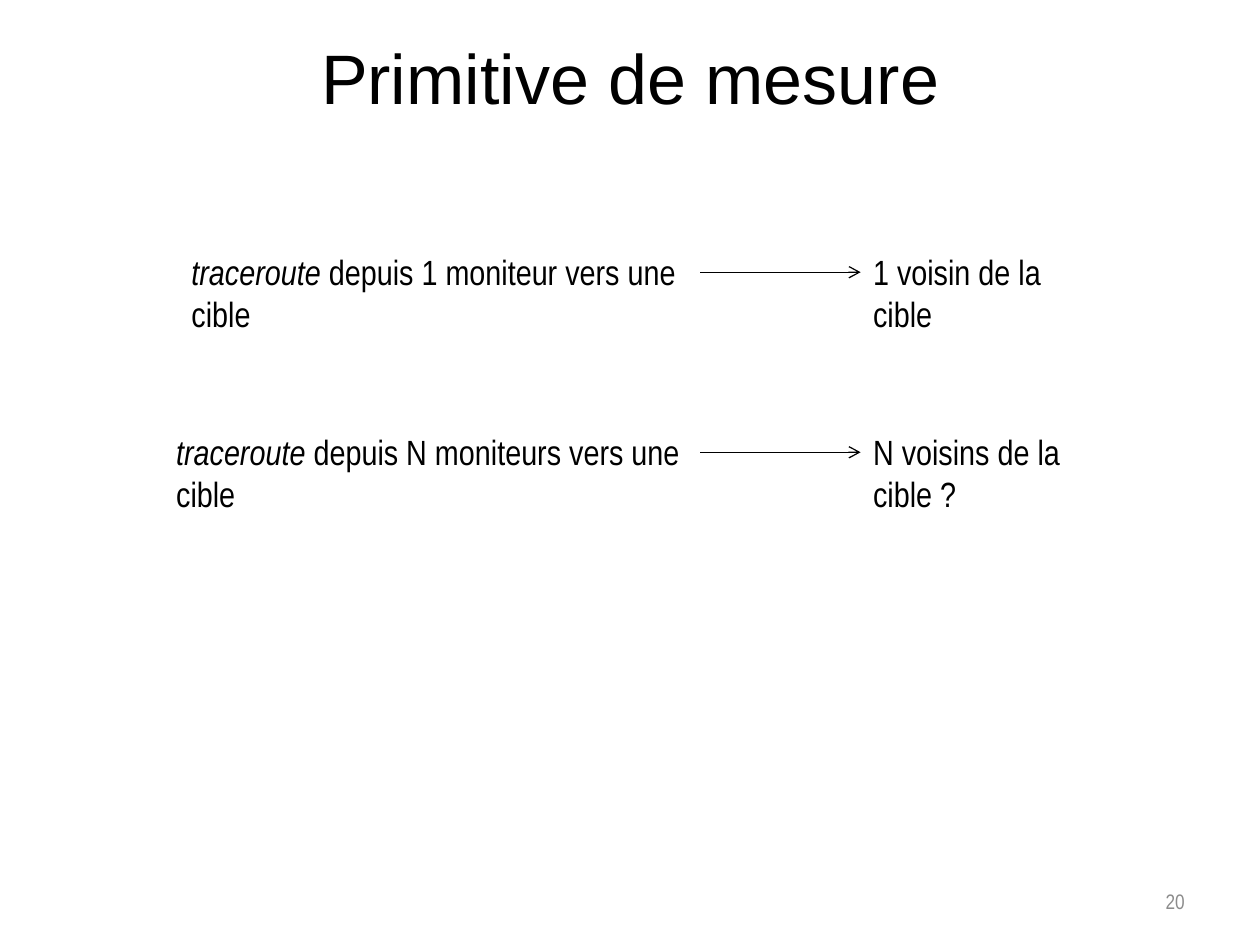
from lxml import etree
from pptx import Presentation
from pptx.dml.color import RGBColor
from pptx.enum.shapes import MSO_CONNECTOR
from pptx.enum.text import MSO_ANCHOR, PP_ALIGN
from pptx.oxml.ns import qn
from pptx.util import Pt

STRAIGHT = MSO_CONNECTOR.STRAIGHT
TOP, MIDDLE = MSO_ANCHOR.TOP, MSO_ANCHOR.MIDDLE
LEFT, CENTER, RIGHT = PP_ALIGN.LEFT, PP_ALIGN.CENTER, PP_ALIGN.RIGHT
LEFT_SIDE, RIGHT_SIDE = 1, 3


def rgb(value):
    return RGBColor.from_string(value)


class Deck:
    """Style of the deck and the slide being filled."""

    black, grey = "000000", "8C8C8C"
    body = {"name": "Arial Narrow", "size": Pt(20)}
    heading = {"name": "Arial", "size": Pt(40)}
    footer = {"name": "Arial Narrow", "size": Pt(12)}

    def __init__(self, width, height):
        self.prs = Presentation()
        self.prs.slide_width, self.prs.slide_height = Pt(width), Pt(height)

    def add_slide(self):
        self.s = self.prs.slides.add_slide(self.prs.slide_layouts[5])

    def fill_text(self, sp, runs, style, color, align, anchor):
        tf = sp.text_frame
        tf.word_wrap = True
        tf.vertical_anchor = anchor
        p = tf.paragraphs[0]
        p.alignment = align
        for text, extra in runs:
            r = p.add_run()
            r.text = text
            for name, value in {**style, **extra}.items():
                setattr(r.font, name, value)
            r.font.color.rgb = rgb(color)

    def title(self, text, x, y, w, h):
        sp = self.s.shapes.title
        sp.left, sp.top, sp.width, sp.height = Pt(x), Pt(y), Pt(w), Pt(h)
        self.fill_text(sp, [(text, {})], self.heading, self.black, CENTER, MIDDLE)

    def text(self, runs, x, y, w, h, style=body, color=black, align=LEFT, anchor=TOP):
        sp = self.s.shapes.add_textbox(Pt(x), Pt(y), Pt(w), Pt(h))
        self.fill_text(sp, runs, style, color, align, anchor)
        return sp

    def arrow(self, start, end):
        """Arrow from the right side of one box to the left side of another."""
        line = self.s.shapes.add_connector(STRAIGHT, 0, 0, 0, 0)
        line.begin_connect(start, RIGHT_SIDE)
        line.end_connect(end, LEFT_SIDE)
        line.line.color.rgb = rgb(self.black)
        line.line.width = Pt(0.75)
        etree.SubElement(line.line._get_or_add_ln(), qn("a:tailEnd"), type="arrow")
        etree.SubElement(line._element.spPr, qn("a:effectLst"))


def main():
    deck = Deck(720, 540)
    deck.add_slide()
    deck.title("Primitive de mesure", 36, 0, 648, 88)

    # Measurement on the left, its result on the right
    source_right, result_left, box_h = 400.3, 491.8, 31.7
    rows = [
        (139.7, " depuis 1 moniteur vers une cible", 298, "1 voisin de la cible", 134),
        (242.6, " depuis N moniteurs vers une cible", 306.7, "N voisins de la cible ?", 152.6),
    ]
    for y, source, source_w, result, result_w in rows:
        runs = [("traceroute", {"italic": True}), (source, {})]
        start = deck.text(runs, source_right - source_w, y, source_w, box_h)
        end = deck.text([(result, {})], result_left, y, result_w, box_h)
        deck.arrow(start, end)

    # Slide number
    deck.text([("20", {})], 516, 500.5, 168, 28.8, deck.footer, deck.grey, RIGHT, MIDDLE)

    deck.prs.save("out.pptx")


if __name__ == "__main__":
    main()
